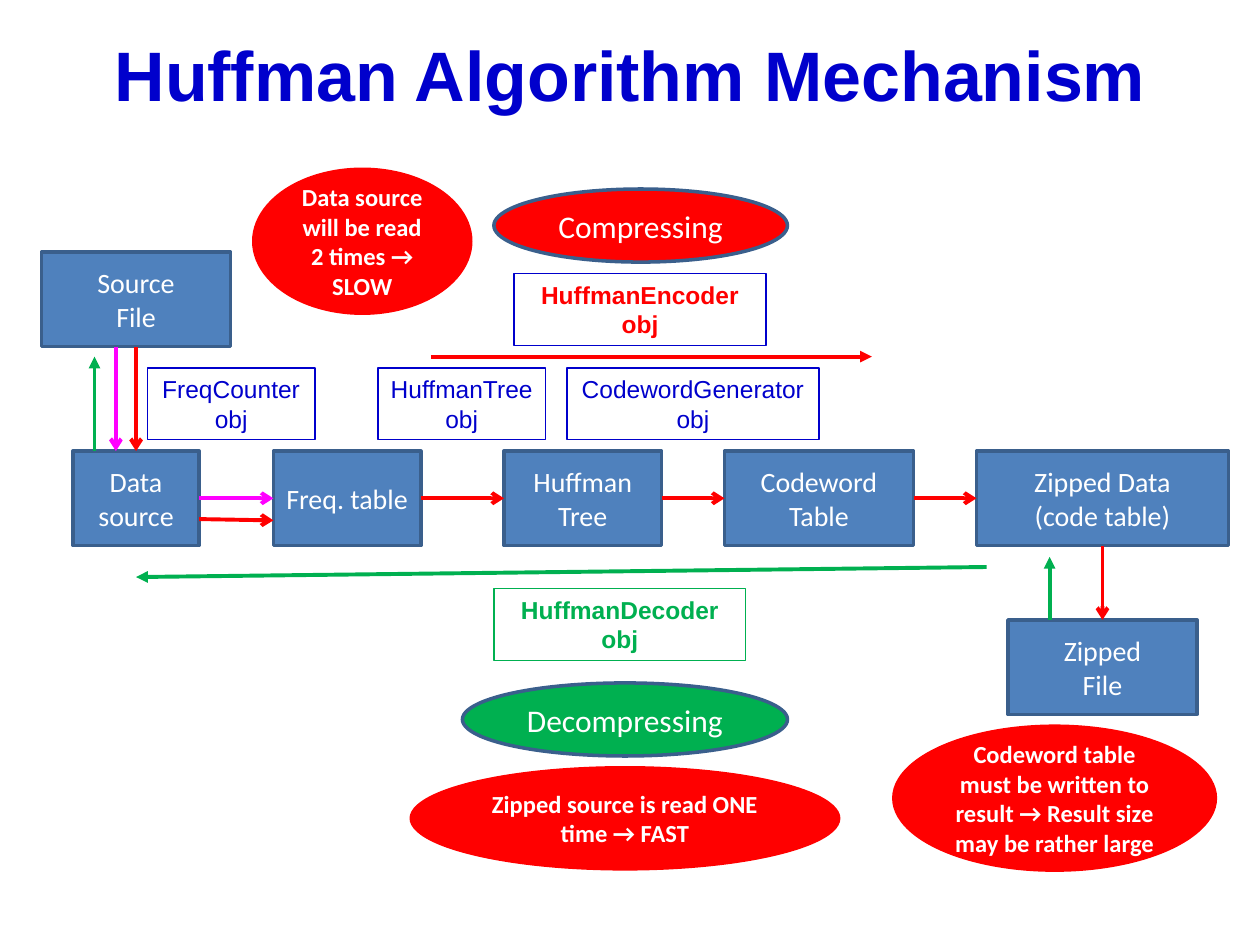
from typing import NamedTuple, Optional

from lxml.etree import SubElement
from pptx import Presentation
from pptx.dml.color import RGBColor
from pptx.enum.shapes import MSO_CONNECTOR, MSO_SHAPE
from pptx.enum.text import MSO_ANCHOR, MSO_AUTO_SIZE, PP_ALIGN
from pptx.oxml.ns import qn
from pptx.util import Inches, Pt

COLORS = {
    "white": "FFFFFF", "navy": "0000CC", "blue": "4F81BD", "outline": "3A5F8C",
    "red": "FF0000", "green": "00B050", "magenta": "FF00FF",
}
TOP, LEFT, BOTTOM, RIGHT = range(4)
ROW_TOP, STAGE_HEIGHT = 3.58, 0.75
ROW_MIDDLE = ROW_TOP + STAGE_HEIGHT / 2
LABEL_HEIGHT = 0.57


class Stage(NamedTuple):
    text: str
    left: float
    top: float
    width: float


class ObjectLabel(NamedTuple):
    text: str
    left: float
    top: float
    width: float
    color: str = "navy"
    border: str = "navy"
    bold: bool = False


class Bubble(NamedTuple):
    text: str
    left: float
    top: float
    width: float
    height: float
    fill: str = "red"
    border: Optional[str] = None
    size: int = 14
    bold: bool = True


class Link(NamedTuple):
    source: str
    source_side: int
    target: str
    target_side: int


class Arrow(NamedTuple):
    start: tuple
    end: tuple
    color: str
    head: str = "triangle"


STAGES = {
    "data": Stage("Data source", 0.58, ROW_TOP, 1),
    "frequencies": Stage("Freq. table", 2.17, ROW_TOP, 1.17),
    "tree": Stage("Huffman Tree", 4, ROW_TOP, 1.25),
    "codewords": Stage("Codeword\nTable", 5.75, ROW_TOP, 1.5),
    "zipped data": Stage("Zipped Data\n(code table)", 7.75, ROW_TOP, 2),
    "zipped file": Stage("Zipped\nFile", 8, 4.92, 1.5),
    "source file": Stage("Source\nFile", 0.33, 2, 1.5),
}
LABELS = [
    ObjectLabel("FreqCounter obj", 1.17, 2.92, 1.33),
    ObjectLabel("HuffmanTree\nobj", 3, 2.92, 1.33),
    ObjectLabel("CodewordGenerator\nobj", 4.5, 2.92, 2),
    ObjectLabel("HuffmanEncoder\nobj", 4.08, 2.17, 2, "red", "navy", True),
    ObjectLabel("HuffmanDecoder\nobj", 3.92, 4.67, 2, "green", "green", True),
]
BUBBLES = [
    Bubble("Compressing", 3.92, 1.5, 2.33, 0.58, "red", "outline", 18, False),
    Bubble("Decompressing", 3.67, 5.42, 2.58, 0.58, "green", "outline", 18, False),
    Bubble("Data source will be read 2 times → SLOW", 2, 1.33, 1.75, 1.17),
    Bubble("Codeword table must be written to result → Result size may be rather large",
           7.08, 5.75, 2.58, 1.17),
    Bubble("Zipped source is read ONE time → FAST", 3.25, 6.08, 3.42, 0.83),
]
LINKS = [
    Link("frequencies", RIGHT, "tree", LEFT),
    Link("tree", RIGHT, "codewords", LEFT),
    Link("codewords", RIGHT, "zipped data", LEFT),
    Link("zipped data", BOTTOM, "zipped file", TOP),
    Link("source file", BOTTOM, "data", TOP),
]
FIRST_READ = Link("data", RIGHT, "frequencies", LEFT)
ARROWS = [
    Arrow((3.42, 2.83), (6.92, 2.83), "red"),
    Arrow((7.83, 4.5), (1.08, 4.58), "green"),
    Arrow((0.75, ROW_TOP), (0.75, 2.83), "green"),
    Arrow((8.33, 4.92), (8.33, 4.42), "green"),
    Arrow((0.92, 2.75), (0.92, ROW_TOP), "magenta", "arrow"),
    Arrow((1.58, 4.12), (2.17, 4.13), "red", "arrow"),
]


def rgb(name: str) -> RGBColor:
    return RGBColor.from_string(COLORS[name])


def write(frame, text: str, font_name: str, size: int, color: str, bold: bool = False) -> None:
    """Fill a text frame with centred paragraphs, one per line of text."""
    frame.word_wrap = True
    for index, line in enumerate(text.split("\n")):
        paragraph = frame.add_paragraph() if index else frame.paragraphs[0]
        paragraph.alignment = PP_ALIGN.CENTER
        run = paragraph.add_run()
        run.text = line
        run.font.name = font_name
        run.font.size = Pt(size)
        run.font.bold = bold
        run.font.color.rgb = rgb(color)


def add_outlined(slide, kind, box: tuple, fill: Optional[str], border: Optional[str],
                 border_width: float = 2):
    shape = slide.shapes.add_shape(kind, *map(Inches, box))
    shape.shadow.inherit = False
    if fill:
        shape.fill.solid()
        shape.fill.fore_color.rgb = rgb(fill)
    else:
        shape.fill.background()
    if border:
        shape.line.color.rgb = rgb(border)
        shape.line.width = Pt(border_width)
    else:
        shape.line.fill.background()
    return shape


def add_stage(slide, stage: Stage):
    box = (stage.left, stage.top, stage.width, STAGE_HEIGHT)
    shape = add_outlined(slide, MSO_SHAPE.RECTANGLE, box, "blue", "outline")
    shape.text_frame.vertical_anchor = MSO_ANCHOR.MIDDLE
    write(shape.text_frame, stage.text, "Calibri", 16, "white")
    return shape


def add_label(slide, label: ObjectLabel) -> None:
    box = (label.left, label.top, label.width, LABEL_HEIGHT)
    shape = add_outlined(slide, MSO_SHAPE.RECTANGLE, box, None, label.border, 0.75)
    shape.text_frame.vertical_anchor = MSO_ANCHOR.TOP
    write(shape.text_frame, label.text, "Arial", 14, label.color, label.bold)
    shape.text_frame.auto_size = MSO_AUTO_SIZE.SHAPE_TO_FIT_TEXT


def add_bubble(slide, bubble: Bubble) -> None:
    box = (bubble.left, bubble.top, bubble.width, bubble.height)
    shape = add_outlined(slide, MSO_SHAPE.OVAL, box, bubble.fill, bubble.border)
    shape.text_frame.vertical_anchor = MSO_ANCHOR.MIDDLE
    write(shape.text_frame, bubble.text, "Calibri", bubble.size, "white", bubble.bold)


def add_arrow(slide, arrow: Arrow):
    connector = slide.shapes.add_connector(
        MSO_CONNECTOR.STRAIGHT, *map(Inches, arrow.start + arrow.end))
    connector.line.color.rgb = rgb(arrow.color)
    connector.line.width = Pt(2.25)
    SubElement(connector.line._get_or_add_ln(), qn("a:tailEnd"), type=arrow.head)
    SubElement(connector._element.spPr, qn("a:effectLst"))
    return connector


def add_link(slide, link: Link, shapes: dict, color: str) -> None:
    connector = add_arrow(slide, Arrow((0, 0), (1, 1), color, "arrow"))
    connector.begin_connect(shapes[link.source], link.source_side)
    connector.end_connect(shapes[link.target], link.target_side)


def main() -> None:
    presentation = Presentation()
    presentation.slide_width, presentation.slide_height = Inches(10), Inches(7.5)
    slide = presentation.slides.add_slide(presentation.slide_layouts[5])

    title = slide.shapes.title
    title.left, title.top, title.width, title.height = map(Inches, (0.5, 0.08, 9, 1))
    title.text_frame.vertical_anchor = MSO_ANCHOR.MIDDLE
    write(title.text_frame, "Huffman Algorithm Mechanism", "Arial", 40, "navy", True)

    stage_shapes = {key: add_stage(slide, stage) for key, stage in STAGES.items()}
    for bubble in BUBBLES:
        add_bubble(slide, bubble)
    for label in LABELS:
        add_label(slide, label)
    add_link(slide, FIRST_READ, stage_shapes, "magenta")
    for link in LINKS:
        add_link(slide, link, stage_shapes, "red")
    for arrow in ARROWS:
        add_arrow(slide, arrow)
    presentation.save("out.pptx")


if __name__ == "__main__":
    main()
